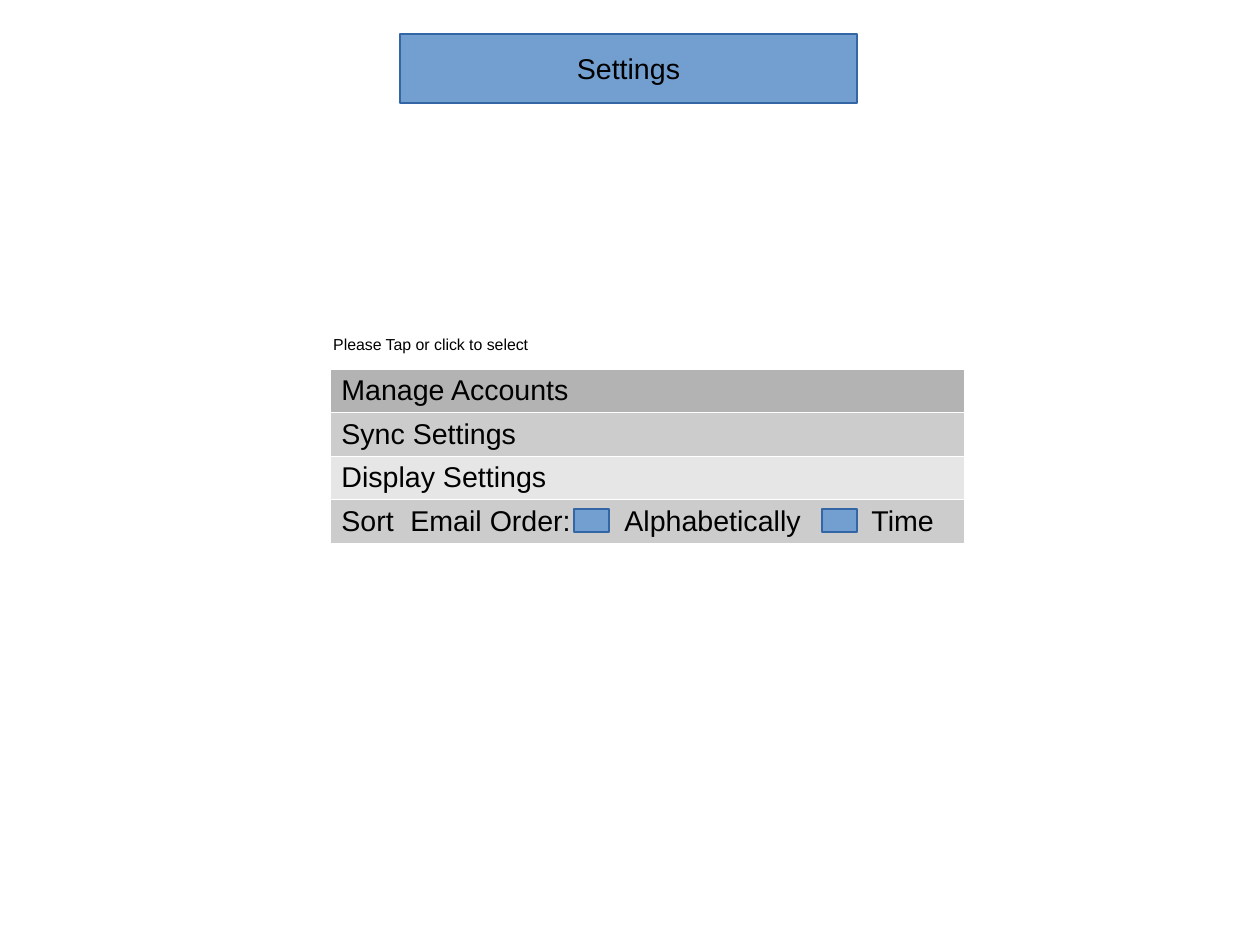
from dataclasses import dataclass

from lxml.etree import SubElement
from pptx import Presentation
from pptx.dml.color import RGBColor
from pptx.enum.shapes import MSO_SHAPE
from pptx.enum.text import MSO_ANCHOR, PP_ALIGN
from pptx.oxml import parse_xml
from pptx.oxml.ns import nsdecls, qn
from pptx.shapes.autoshape import Shape
from pptx.slide import Slide
from pptx.table import _Cell
from pptx.text.text import _Paragraph
from pptx.util import Emu, Pt

BLUE, BLUE_EDGE = "729FCF", "3465A4"
BLACK, WHITE = "000000", "FFFFFF"
BORDER_WIDTH = 762


@dataclass(frozen=True)
class Area:
    left: int
    top: int
    width: int
    height: int

    def emu(self) -> tuple[Emu, Emu, Emu, Emu]:
        return px(self.left), px(self.top), px(self.width), px(self.height)


@dataclass(frozen=True)
class Setting:
    text: str
    fill: str
    tabs: tuple[int, ...] = ()


TITLE = Area(400, 34, 457, 69)
HINT = Area(322, 319, 225, 43)
MENU = Area(330, 369, 634, 172)
CHECKBOXES = [Area(left, 509, 35, 23) for left in (574, 822)]
SETTINGS = [
    Setting("Manage Accounts", "B3B3B3"),
    Setting("Sync Settings", "CCCCCC"),
    Setting("Display Settings", "E6E6E6"),
    Setting("Sort\tEmail Order:\tAlphabetically\tTime", "CCCCCC", (69, 283, 530)),
]


def px(length: int) -> Emu:
    return Emu(length * 8000)


def color(value: str) -> RGBColor:
    return RGBColor.from_string(value)


def write(para: _Paragraph, text: str, size: int) -> None:
    span = para.add_run()
    span.text = text
    for name, value in {"name": "Arial", "size": Pt(size)}.items():
        setattr(span.font, name, value)
    span.font.color.rgb = color(BLACK)


def add_blue_box(page: Slide, area: Area) -> Shape:
    box = page.shapes.add_shape(MSO_SHAPE.RECTANGLE, *area.emu())
    box.shadow.inherit = False
    box.fill.solid()
    box.fill.fore_color.rgb = color(BLUE)
    box.line.color.rgb = color(BLUE_EDGE)
    box.line.width = Emu(0)
    return box


def add_tabs(para: _Paragraph, stops: tuple[int, ...]) -> None:
    tab_list = SubElement(para._p.get_or_add_pPr(), qn("a:tabLst"))
    for stop in stops:
        SubElement(tab_list, qn("a:tab"), pos=str(px(stop)), algn="l")


def add_borders(cell: _Cell) -> None:
    properties = cell._tc.get_or_add_tcPr()
    for index, side in enumerate("LRTB"):
        properties.insert(index, parse_xml(
            f'<a:ln{side} {nsdecls("a")} w="{BORDER_WIDTH}"><a:solidFill>'
            f'<a:srgbClr val="{WHITE}"/></a:solidFill></a:ln{side}>'))


def add_menu(page: Slide, area: Area, settings: list[Setting]) -> None:
    table = page.shapes.add_table(len(settings), 1, *area.emu()).table
    table.first_row = table.horz_banding = False
    for row, setting in enumerate(settings):
        cell = table.cell(row, 0)
        cell.fill.solid()
        cell.fill.fore_color.rgb = color(setting.fill)
        add_borders(cell)
        para = cell.text_frame.paragraphs[0]
        if setting.tabs:
            add_tabs(para, setting.tabs)
        write(para, setting.text, 18)


def main() -> None:
    deck = Presentation()
    deck.slide_width, deck.slide_height = px(1260), px(945)
    page = deck.slides.add_slide(deck.slide_layouts[6])

    # Title bar
    title = add_blue_box(page, TITLE).text_frame
    title.word_wrap = False
    title.vertical_anchor = MSO_ANCHOR.MIDDLE
    title.paragraphs[0].alignment = PP_ALIGN.CENTER
    write(title.paragraphs[0], "Settings", 18)

    # Settings menu
    add_menu(page, MENU, SETTINGS)

    # Hint above the menu
    hint = page.shapes.add_textbox(*HINT.emu()).text_frame
    hint_format = {"word_wrap": False, "vertical_anchor": MSO_ANCHOR.BOTTOM,
                   "margin_bottom": px(8)}
    for name, value in hint_format.items():
        setattr(hint, name, value)
    write(hint.paragraphs[0], "Please Tap or click to select", 10)

    # Sort order checkboxes
    for area in CHECKBOXES:
        add_blue_box(page, area)

    deck.save("out.pptx")


if __name__ == "__main__":
    main()
